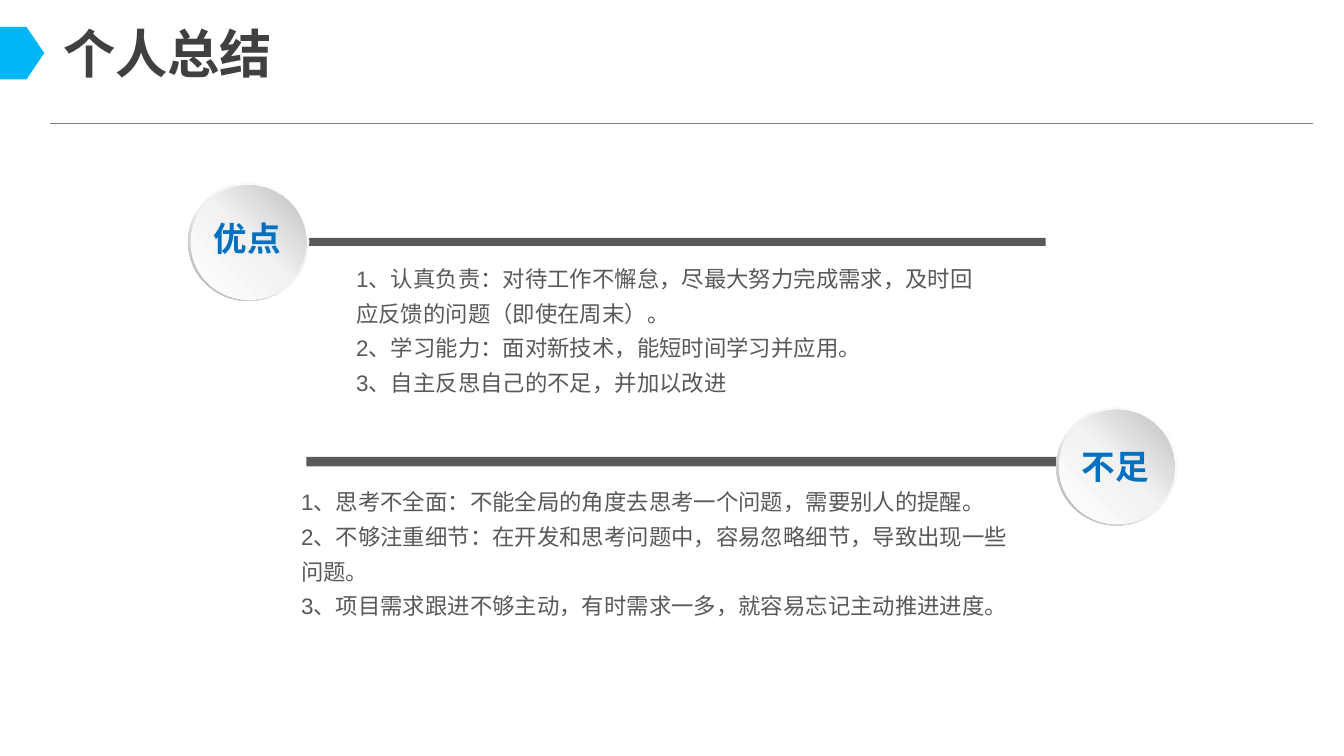
from copy import deepcopy

from pptx import Presentation
from pptx.dml.color import RGBColor
from pptx.enum.shapes import MSO_CONNECTOR, MSO_SHAPE
from pptx.enum.text import MSO_ANCHOR, MSO_AUTO_SIZE, PP_ALIGN
from pptx.oxml.ns import qn
from pptx.util import Inches, Pt

WHITE = RGBColor(0xFF, 0xFF, 0xFF)
PALE = RGBColor(0xF2, 0xF2, 0xF2)
SILVER = RGBColor(0xBF, 0xBF, 0xBF)
STEEL = RGBColor(0xA6, 0xA6, 0xA6)
GRAY = RGBColor(0x80, 0x80, 0x80)
SLATE = RGBColor(0x59, 0x59, 0x59)
CHARCOAL = RGBColor(0x40, 0x40, 0x40)
SKY = RGBColor(0x00, 0xB6, 0xF6)
BLUE = RGBColor(0x00, 0x70, 0xC0)

STRENGTHS = [
    "1、认真负责：对待工作不懈怠，尽最大努力完成需求，及时回应反馈的问题（即使在周末）。",
    "2、学习能力：面对新技术，能短时间学习并应用。",
    "3、自主反思自己的不足，并加以改进",
]
WEAKNESSES = [
    "1、思考不全面：不能全局的角度去思考一个问题，需要别人的提醒。",
    "2、不够注重细节：在开发和思考问题中，容易忽略细节，导致出现一些问题。",
    "3、项目需求跟进不够主动，有时需求一多，就容易忘记主动推进进度。",
]


class SummarySlide:
    title_font = "Noto Sans CJK SC"
    text_font = "Arial"

    def __init__(self, slide):
        self.slide = slide

    def place(self, item, left, top, width, height):
        item.left, item.top = Inches(left), Inches(top)
        item.width, item.height = Inches(width), Inches(height)

    def style(self, paragraph, font_name, size, color, bold=False):
        paragraph.alignment = PP_ALIGN.LEFT
        font = paragraph.font
        font.name, font.size, font.bold = font_name, Pt(size), bold
        font.color.rgb = color

    def frame(self, holder, inset_x, inset_y):
        frame = holder.text_frame
        frame.auto_size = MSO_AUTO_SIZE.NONE
        frame.word_wrap = True
        frame.vertical_anchor = MSO_ANCHOR.TOP
        frame.margin_left = frame.margin_right = Inches(inset_x)
        frame.margin_top = frame.margin_bottom = Inches(inset_y)
        return frame

    def title(self, text, *box):
        heading = self.slide.shapes.title
        self.place(heading, *box)
        frame = self.frame(heading, 0.1, 0.05)
        frame.word_wrap = False
        frame.text = text
        self.style(frame.paragraphs[0], self.title_font, 28, CHARCOAL, True)

    def points(self, index, lines, *box):
        body = self.slide.placeholders[index]
        self.place(body, *box)
        frame = self.frame(body, 0.06, 0.03)
        frame.text = "\n".join(lines)
        for paragraph in frame.paragraphs:
            self.style(paragraph, self.text_font, 12, SLATE)
            paragraph.line_spacing = 1.3
            paragraph.space_before = Pt(0)
            properties = paragraph._p.get_or_add_pPr()
            properties.set("marL", "0")
            properties.set("indent", "0")
            bullet = properties.makeelement(qn("a:buNone"), {})
            properties.find(qn("a:defRPr")).addprevious(bullet)

    def shape(self, kind, color, *box):
        shape = self.slide.shapes.add_shape(kind, *map(Inches, box))
        shape.shadow.inherit = False
        shape.line.fill.background()
        if color is not None:
            shape.fill.solid()
            shape.fill.fore_color.rgb = color
        return shape

    def rule(self, left, right, y):
        line = self.slide.shapes.add_connector(
            MSO_CONNECTOR.STRAIGHT, Inches(left), Inches(y), Inches(right), Inches(y))
        line.line.color.rgb = GRAY
        line.line.width = Pt(0.75)
        properties = line._element.spPr
        properties.append(properties.makeelement(qn("a:effectLst"), {}))

    def gradient(self, shape, middle, end_color, angle):
        fill = shape.fill
        fill.gradient()
        fill.gradient_angle = angle
        stops = shape._element.spPr.find(qn("a:gradFill")).find(qn("a:gsLst"))
        stops.insert(1, deepcopy(stops[0]))
        colors = [(0, WHITE), (middle, PALE), (1, end_color)]
        for stop, (position, color) in zip(fill.gradient_stops, colors):
            stop.position = position
            stop.color.rgb = color

    def badge(self, left, top):
        rim = self.shape(MSO_SHAPE.DONUT, None, left, top, 0.9, 0.88)
        rim.adjustments[0] = 0.05
        self.gradient(rim, 0.55, STEEL, 225)
        face = self.shape(MSO_SHAPE.OVAL, None, left + 0.02, top + 0.02, 0.86, 0.85)
        self.gradient(face, 0.51, SILVER, 45)

    def label(self, text, *box):
        caption = self.slide.shapes.add_textbox(*map(Inches, box))
        frame = self.frame(caption, 0.07, 0.04)
        frame.text = text
        self.style(frame.paragraphs[0], self.text_font, 18, BLUE, True)


def main():
    deck = Presentation()
    deck.slide_width = Inches(10)
    deck.slide_height = deck.slide_width * 9 // 16
    summary = SummarySlide(deck.slides.add_slide(deck.slide_layouts[3]))

    summary.title("个人总结", 0.37, 0.11, 1.77, 0.57)
    marker = summary.shape(MSO_SHAPE.CHEVRON, SKY, -0.2, 0.2, 0.53, 0.39)
    marker.adjustments[0] = 0.34
    summary.rule(0.37, 9.77, 0.92)

    summary.shape(MSO_SHAPE.RECTANGLE, SLATE, 2.28, 1.77, 5.5, 0.06)
    summary.badge(1.4, 1.36)
    summary.label("优点", 1.52, 1.58, 0.66, 0.38)
    summary.points(1, STRENGTHS, 2.59, 1.88, 4.84, 1.07)

    summary.shape(MSO_SHAPE.RECTANGLE, SLATE, 2.28, 3.4, 5.61, 0.07)
    summary.badge(7.86, 3.03)
    summary.label("不足", 7.98, 3.28, 0.66, 0.38)
    summary.points(2, WEAKNESSES, 2.18, 3.54, 5.42, 1.07)

    deck.save("out.pptx")


if __name__ == "__main__":
    main()
